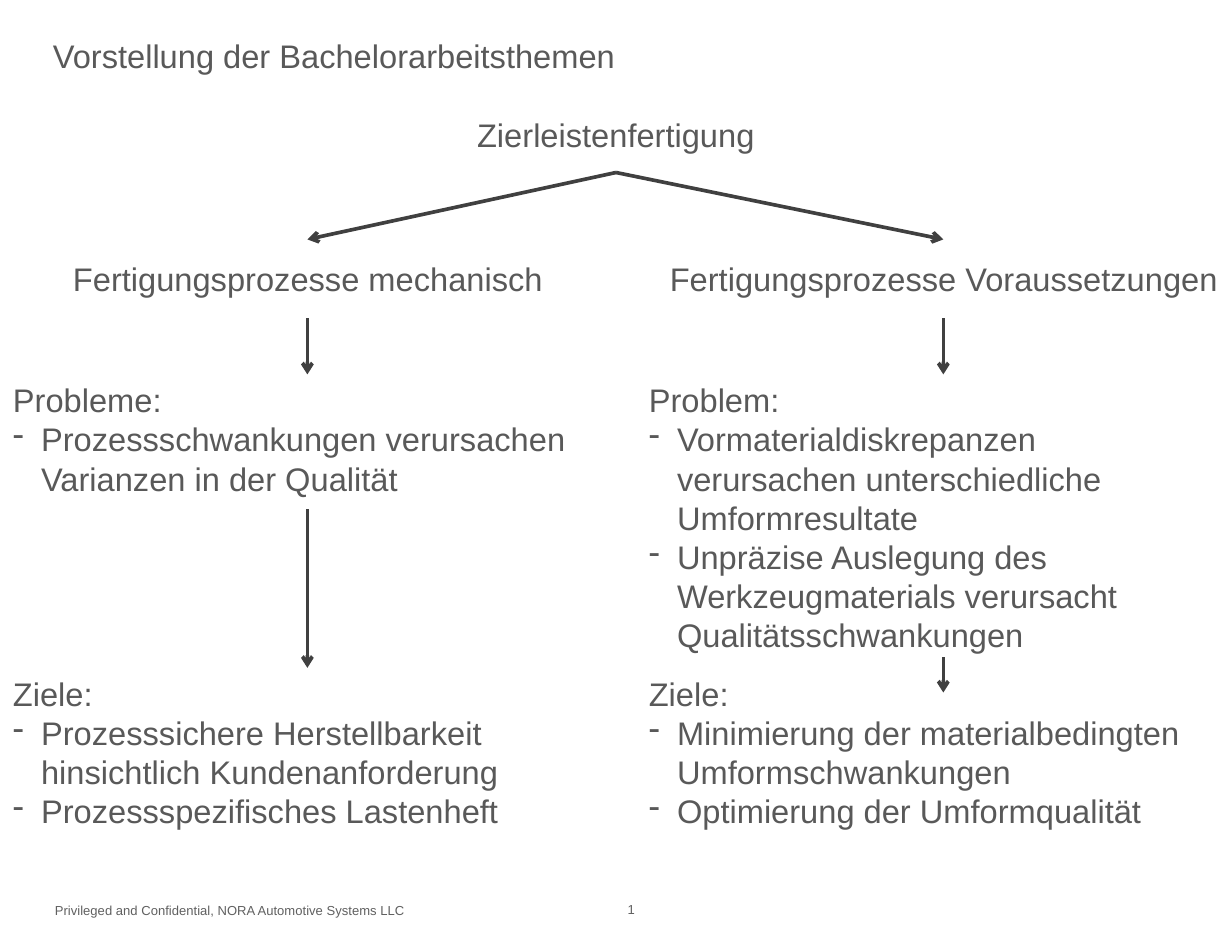
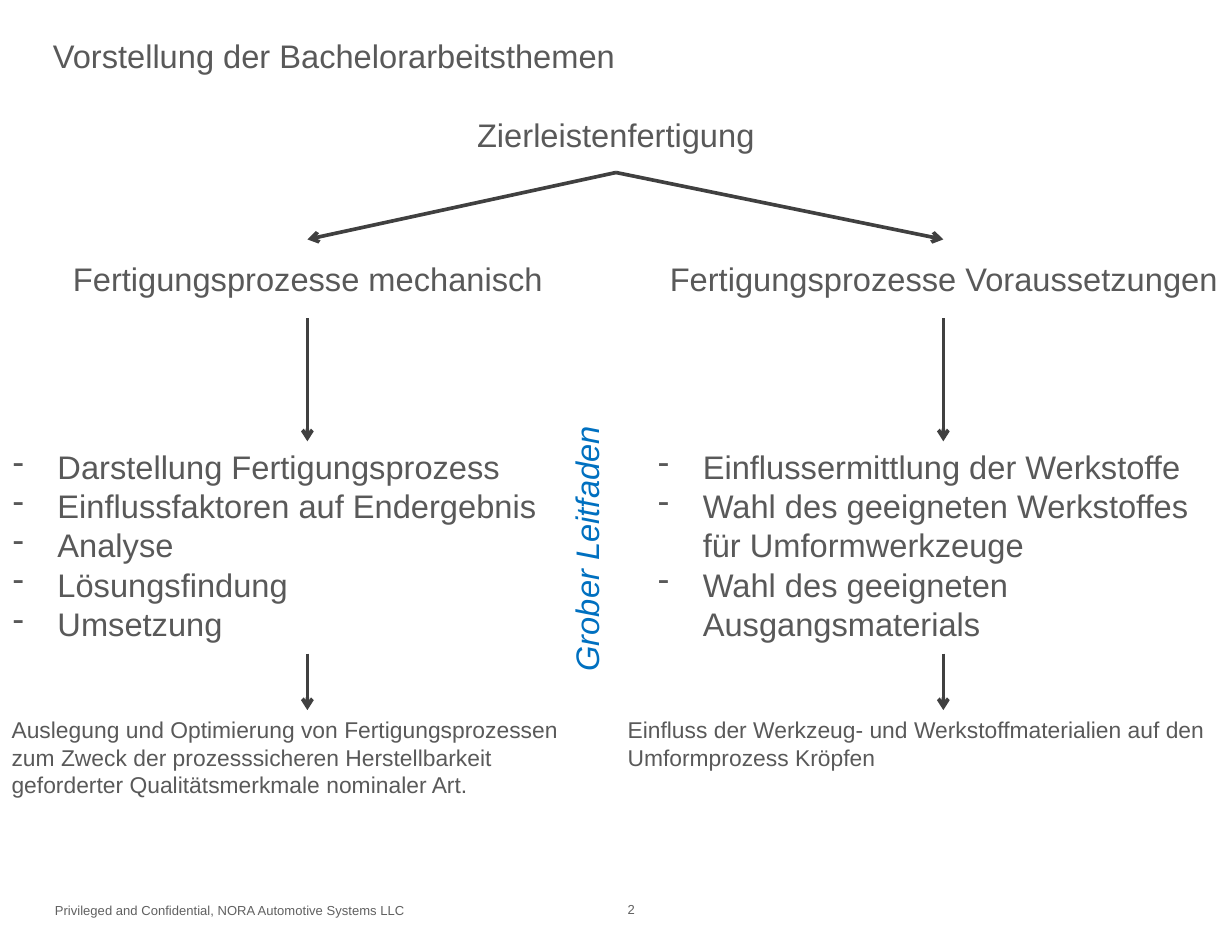
from lxml import etree
from pptx import Presentation
from pptx import util as u
from pptx.dml.color import RGBColor
from pptx.enum import shapes, text
from pptx.oxml import ns

# Shared look: 100 px to the inch
PX = 9144
WIDTH, HEIGHT = 1050, 800
FONT = "Arial"
GREY, FOOT_GREY, LINE_GREY, BLUE = "595959", "606060", "404040", "0070C0"
LEFT, CENTER = text.PP_ALIGN.LEFT, text.PP_ALIGN.CENTER
TOP, MIDDLE = text.MSO_ANCHOR.TOP, text.MSO_ANCHOR.MIDDLE

# Shared content and positions
TITLE = "Vorstellung der Bachelorarbeitsthemen"
TITLE_AREA = (34, 1, 848, 93)
FOOTER = "Privileged and Confidential, NORA Automotive Systems LLC"
ROOT = "Zierleistenfertigung"
BRANCHES = [("Fertigungsprozesse mechanisch", 0),
            ("Fertigungsprozesse Voraussetzungen", 542)]
HALF, HEAD_HEIGHT = 525, 67
ROOT_TOP, ROOT_BOTTOM = 81, 147
BRANCH_TOP, BRANCH_BOTTOM = 204, 271
ARROW_X = (262, 804)

# Per slide: text blocks (area, size, hanging indent, heading, items),
# vertical arrows (column, top, bottom), upright side label
PAGES = [
    {
        "blocks": [
            ((0, 319, 525, 115), 20, 24, "Probleme:",
             ["Prozessschwankungen verursachen Varianzen in der Qualität"]),
            ((542, 319, 508, 258), 20, 24, "Problem:",
             ["Vormaterialdiskrepanzen verursachen unterschiedliche Umformresultate",
              "Unpräzise Auslegung des Werkzeugmaterials verursacht Qualitätsschwankungen"]),
            ((0, 569, 525, 169), 20, 24, "Ziele:",
             ["Prozesssichere Herstellbarkeit hinsichtlich Kundenanforderung",
              "Prozessspezifisches Lastenheft"]),
            ((542, 569, 525, 169), 20, 24, "Ziele:",
             ["Minimierung der materialbedingten Umformschwankungen",
              "Optimierung der Umformqualität"]),
        ],
        "arrows": [(0, BRANCH_BOTTOM, 319), (1, BRANCH_BOTTOM, 319),
                   (0, 434, 569), (1, 560, 590)],
        "side_label": None,
    },
    {
        "blocks": [
            ((0, 376, 525, 181), 20, 38, None,
             ["Darstellung Fertigungsprozess", "Einflussfaktoren auf Endergebnis",
              "Analyse", "Lösungsfindung", "Umsetzung"]),
            ((550, 376, 508, 181), 20, 38, None,
             ["Einflussermittlung der Werkstoffe",
              "Wahl des geeigneten Werkstoffes für Umformwerkzeuge",
              "Wahl des geeigneten Ausgangsmaterials"]),
            ((0, 605, 525, 100), 14, 0,
             "Auslegung und Optimierung von Fertigungsprozessen zum Zweck der "
             "prozesssicheren Herstellbarkeit geforderter Qualitätsmerkmale nominaler Art.", []),
            ((525, 605, 525, 57), 14, 0,
             "Einfluss der Werkzeug- und Werkstoffmaterialien auf den "
             "Umformprozess Kröpfen", []),
        ],
        "arrows": [(0, BRANCH_BOTTOM, 376), (1, BRANCH_BOTTOM, 376),
                   (0, 557, 605), (1, 557, 605)],
        "side_label": ("Grober Leitfaden", (373, 434, 253, 67)),
    },
]


def color(value):
    return RGBColor.from_string(value)


def place(shape, area):
    shape.left, shape.top, shape.width, shape.height = [n * PX for n in area]


def add_bullet(para, indent):
    props = para._p.get_or_add_pPr()
    props.set("marL", str(indent * PX))
    props.set("indent", str(-indent * PX))
    etree.SubElement(props, ns.qn("a:buChar")).set("char", "-")


def write(box, lines, size=20, fill=GREY, align=LEFT, anchor=MIDDLE,
          inset=11, indent=0, first_bullet=None, italic=False):
    """Fill a box with lines; those from first_bullet on get a dash."""
    frame = box.text_frame
    frame.word_wrap = True
    frame.auto_size = text.MSO_AUTO_SIZE.NONE
    frame.vertical_anchor = anchor
    frame.margin_left = frame.margin_right = inset * PX
    frame.margin_top = frame.margin_bottom = 5 * PX
    frame.text = "\n".join(lines)
    for number, para in enumerate(frame.paragraphs):
        if first_bullet is not None and number >= first_bullet:
            add_bullet(para, indent)
        para.alignment = align
        for span in para.runs:
            span.font.name, span.font.size = FONT, u.Pt(size)
            span.font.italic = italic
            span.font.color.rgb = color(fill)


def add_text(page, area, lines, **style):
    box = page.shapes.add_textbox(0, 0, 0, 0)
    place(box, area)
    write(box, lines, **style)
    return box


def add_arrow(page, *ends):
    line = page.shapes.add_connector(shapes.MSO_CONNECTOR.STRAIGHT,
                                     *[n * PX for n in ends])
    line.line.color.rgb = color(LINE_GREY)
    line.line.width = u.Pt(2.25)
    outline = line.line._get_or_add_ln()
    etree.SubElement(outline, ns.qn("a:tailEnd")).set("type", "arrow")
    etree.SubElement(line._element.spPr, ns.qn("a:effectLst"))


def add_footer(page, number):
    style = {"size": 8, "fill": FOOT_GREY, "inset": 10}
    add_text(page, (37, 763, 430, 25), [FOOTER], **style)
    box = add_text(page, (525, 762, 50, 26), [str(number)], **style)
    # Turn the number's run into a slide-number field
    field = box.text_frame.paragraphs[0].runs[0]._r
    field.tag = ns.qn("a:fld")
    field.set("id", "{B6F15528-21DE-4FAA-801E-634DDDAF4B2B}")
    field.set("type", "slidenum")


def add_tree(page):
    add_text(page, (0, ROOT_TOP, WIDTH, HEAD_HEIGHT), [ROOT], align=CENTER)
    for (label, left), x in zip(BRANCHES, ARROW_X):
        add_text(page, (left, BRANCH_TOP, HALF, HEAD_HEIGHT), [label], align=CENTER)
        add_arrow(page, WIDTH // 2, ROOT_BOTTOM, x, BRANCH_TOP)


def build_page(deck, number, content):
    page = deck.slides.add_slide(deck.slide_layouts[5])
    place(page.shapes.title, TITLE_AREA)
    write(page.shapes.title, [TITLE])
    add_footer(page, number)
    add_tree(page)
    for area, size, indent, heading, items in content["blocks"]:
        lines = [heading] if heading else []
        add_text(page, area, lines + items, size=size, anchor=TOP,
                 inset=11 if items else 10, indent=indent, first_bullet=len(lines))
    for column, top, bottom in content["arrows"]:
        add_arrow(page, ARROW_X[column], top, ARROW_X[column], bottom)
    if content["side_label"]:
        label, area = content["side_label"]
        box = add_text(page, area, [label], fill=BLUE, align=CENTER, italic=True)
        box.rotation = 270


def main():
    deck = Presentation()
    deck.slide_width, deck.slide_height = WIDTH * PX, HEIGHT * PX
    for number, content in enumerate(PAGES, 1):
        build_page(deck, number, content)
    deck.save("out.pptx")


if __name__ == "__main__":
    main()
